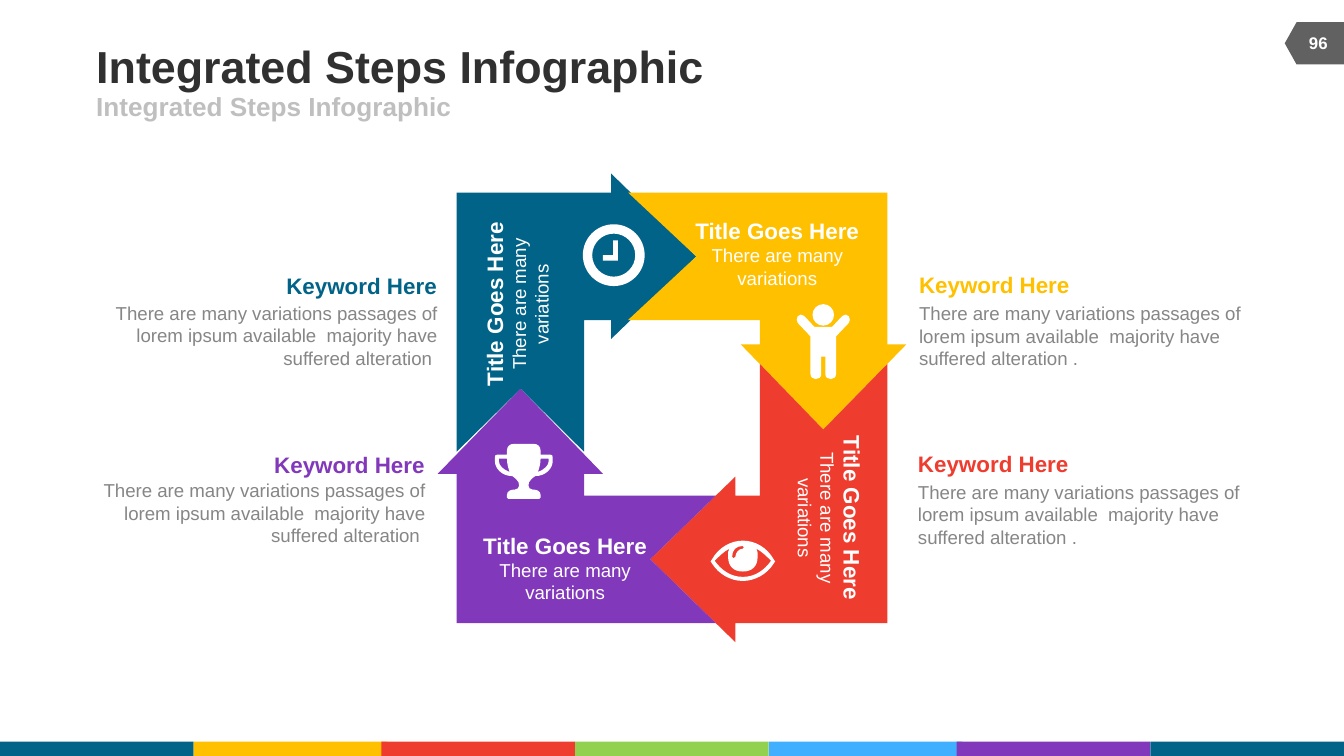
"""Build the Integrated Steps Infographic slide: four interlocking arrows with keywords."""
from lxml import etree
from pptx import Presentation
from pptx.dml.color import RGBColor
from pptx.enum import shapes, text
from pptx.oxml.ns import qn
from pptx.util import Cm, Pt

COLORS = {
    "teal": "006387", "amber": "FFC000", "red": "EE3C2E", "green": "92D050",
    "sky": "40AFFF", "purple": "8238BA", "tag": "616161", "title": "303030",
    "subtitle": "BFBFBF", "body": "868686", "white": "FFFFFF",
}
FONT = "Arial"
HEADING = "Integrated Steps Infographic"
PAGE = "96"
STRIPE = [("teal", 0), ("amber", 3.66), ("red", 7.21), ("green", 10.87),
          ("sky", 14.53), ("purple", 18.08), ("teal", 21.74)]
STEP_TITLE, STEP_NOTE = "Title Goes Here", "There are many variations"
KEYWORD = "Keyword Here"
PASSAGE = "There are many variations passages of lorem ipsum available  majority have suffered alteration "

STEPS = [
    {"color": "teal", "label": (9.77, 5.75), "turn": 270, "advance": 0.05,
     "icon": "clock", "icon_top": (11.6, 4.24)},
    {"color": "amber", "label": (14.69, 4.79), "turn": 0, "advance": 0,
     "icon": "person", "icon_top": (15.56, 5.75)},
    {"color": "red", "label": (15.68, 9.79), "turn": 90, "advance": 0,
     "icon": "eye", "icon_top": (14.04, 10.22)},
    {"color": "purple", "label": (10.68, 10.74), "turn": 0, "advance": -0.05,
     "icon": "trophy", "icon_top": (9.9, 8.39)},
]
KEYWORDS = [
    ("amber", 17.37, 5.12, 5.71, "left", "."),
    ("teal", 1.94, 5.14, 5.7, "right", ""),
    ("purple", 1.71, 8.53, 9.06, "right", ""),
    ("red", 17.35, 8.51, 9.09, "left", "."),
]

RING_CENTER = (12.7, 7.71)

ICON_UNIT = 0.0254
ICONS = {
    "clock": {
        "mirrored": [
            [(0, 0), (12.7, 0, 23, 10.3, 23, 23), (23, 35.7, 12.7, 46, 0, 46)],
            [(0, 7), (8.8, 7, 16, 14.2, 16, 23), (16, 31.8, 8.8, 39, 0, 39)],
        ],
        "single": [[(-0.5, 12), (3, 12), (3, 27), (-8, 27), (-8, 23), (-0.5, 23)]],
    },
    "person": {
        "mirrored": [
            [(0, 0), (4.4, 0, 8, 3.6, 8, 8), (8, 12.4, 4.4, 16, 0, 16)],
            [(0, 17), (6.5, 17), (14, 9), (16, 7.5, 18, 7.5, 19, 9), (20, 10.5, 20, 13, 19, 14),
             (9.5, 24), (9.5, 52), (9.5, 57, 1.5, 57, 1.5, 52), (1.5, 39), (0, 39)],
        ],
        "single": [],
    },
    "eye": {
        "mirrored": [
            [(0, 0), (9, 0, 18, 5, 23, 14), (24, 15.5), (23, 17), (18, 25, 9, 30, 0, 30)],
            [(0, 23), (7, 23, 11, 19, 11, 12), (11, 9, 11, 7, 10, 6),
             (14, 8, 18, 12, 21, 15), (16, 22, 9, 27, 0, 27)],
        ],
        "single": [[(0, 4), (-5, 4, -8, 7, -8, 12), (-8, 13.5, -6, 13.5, -5.5, 12),
                    (-5.5, 9, -3, 6, 0, 6), (1, 5.5, 1, 4.5, 0, 4)]],
    },
    "trophy": {
        "mirrored": [
            [(0, 0), (7.5, 0), (10.5, 0, 12.5, 2, 12.5, 5), (12.5, 8), (19.5, 8),
             (21, 8, 21.5, 8.5, 21.5, 10), (21.5, 13), (21.5, 18, 16.5, 24, 8.5, 24),
             (7, 25, 6, 26, 5.5, 26.5), (4, 28, 3.5, 29, 3.5, 31),
             (3.5, 32.5, 4.5, 34, 6.5, 34), (9.5, 34, 12.5, 35, 12.5, 38),
             (12.5, 40), (11.5, 41), (0, 41)],
            [(12.5, 11), (18.5, 11), (18.5, 13), (18.5, 16, 15.5, 19, 10.5, 21),
             (11.5, 18, 12.5, 15, 12.5, 11)],
        ],
        "single": [],
    },
}


def rgb(name):
    return RGBColor.from_string(COLORS[name])


def paint(shape, color):
    shape.shadow.inherit = False
    shape.fill.solid()
    shape.fill.fore_color.rgb = rgb(color)
    shape.line.fill.background()


def add_outline(slide, contours, origin, unit, color):
    """Draw (points, steps) contours; a step of 3 is a cubic curve, a step of 1 a line."""
    builder = None
    for points, _ in contours:
        start, *rest = [(Cm(origin[0] + x * unit), Cm(origin[1] + y * unit)) for x, y in points]
        if builder is None:
            builder = slide.shapes.build_freeform(*start, scale=1.0)
        else:
            builder.move_to(*start)
        builder.add_line_segments(rest, close=True)
    shape = builder.convert_to_shape()
    lines = iter(list(shape._element.iter(qn("a:lnTo"))))
    for step in (step for _, steps in contours for step in steps):
        group = [next(lines) for _ in range(step)]
        if step == 3:
            curve = etree.Element(qn("a:cubicBezTo"))
            group[0].addprevious(curve)
            for line in group:
                curve.append(line[0])
                line.getparent().remove(line)
    paint(shape, color)


def flatten(contour):
    points = [(part[i], part[i + 1]) for part in contour for i in range(0, len(part), 2)]
    return points, [len(part) // 2 for part in contour[1:]]


def add_icon(slide, icon, origin):
    contours = [flatten(contour) for contour in icon["single"]]
    for points, steps in map(flatten, icon["mirrored"]):
        reflection = [(-x, y) for x, y in reversed(points)]
        if points[0][0] == 0:
            contours.append((points + reflection[1:], steps + steps[::-1]))
        else:
            contours += [(points, steps), (reflection, steps[::-1])]
    add_outline(slide, contours, origin, ICON_UNIT, "white")


def arrow_points(advance, behind):
    return [(0.41 + advance, -2.86), (-1.2 + advance, -1.3), (-1.2 + advance, -1.66),
            (-1.66, -1.66), (-1.66, 0.83), (-2.86, -0.41 - behind), (-4.07, 0.83),
            (-4.07, -4.07), (-1.2 + advance, -4.07), (-1.2 + advance, -4.43)]


def add_text(slide, box, runs, align="left", wrap=True, anchor="top", turn=0):
    frame_box = slide.shapes.add_textbox(*map(Cm, box))
    frame_box.rotation = turn
    frame = frame_box.text_frame
    frame.margin_left = frame.margin_right = frame.margin_top = frame.margin_bottom = 0
    frame.word_wrap = wrap
    frame.vertical_anchor = getattr(text.MSO_ANCHOR, anchor.upper())
    paragraph = frame.paragraphs[0]
    paragraph.alignment = getattr(text.PP_ALIGN, align.upper())
    for i, (words, size, color, bold) in enumerate(runs):
        if i:
            paragraph.add_line_break()
        run = paragraph.add_run()
        run.text = words
        run.font.name, run.font.size, run.font.bold = FONT, Pt(size), bold
        run.font.color.rgb = rgb(color)


def main():
    deck = Presentation()
    deck.slide_width, deck.slide_height = Cm(25.4), Cm(14.29)
    slide = deck.slides.add_slide(deck.slide_layouts[6])

    for color, left in STRIPE:
        paint(slide.shapes.add_shape(shapes.MSO_SHAPE.RECTANGLE, Cm(left), Cm(14.02),
                                     Cm(3.66), Cm(0.27)), color)
    tag = slide.shapes.add_shape(shapes.MSO_SHAPE.FLOWCHART_OFFPAGE_CONNECTOR,
                                 Cm(24.44), Cm(0.26), Cm(0.8), Cm(1.12))
    tag.rotation = 90
    paint(tag, "tag")
    add_text(slide, (1.82, 0.74, 15.67, 1), [(HEADING, 24, "title", True)], wrap=False, anchor="middle")
    add_text(slide, (1.82, 1.73, 11.43, 0.56), [(HEADING, 14, "subtitle", True)], wrap=False, anchor="middle")
    add_text(slide, (24.38, 0.43, 1.07, 0.76), [(PAGE, 9, "white", True)], "center", anchor="middle")

    for i, step in enumerate(STEPS):
        points = arrow_points(step["advance"], STEPS[i - 1]["advance"])
        for _ in range(i):
            points = [(-y, x) for x, y in points]
        add_outline(slide, [(points, [])], RING_CENTER, 1, step["color"])
    label_width, label_height = 3.68, 1.37
    for step in STEPS:
        add_icon(slide, ICONS[step["icon"]], step["icon_top"])
        x, y = step["label"]
        add_text(slide, (x - label_width / 2, y - label_height / 2, label_width, label_height),
                 [(STEP_TITLE, 12, "white", True), (STEP_NOTE, 10, "white", False)],
                 "center", turn=step["turn"])

    passage_width, keyword_width = 6.32, 2.87
    for color, left, keyword_top, passage_top, align, ending in KEYWORDS:
        indent = passage_width - keyword_width if align == "right" else 0
        add_text(slide, (left, passage_top, passage_width, 1.27),
                 [(PASSAGE + ending, 10, "body", False)], align)
        add_text(slide, (left + indent, keyword_top, keyword_width, 0.51),
                 [(KEYWORD, 12, color, True)], align, wrap=False)

    deck.save("out.pptx")


if __name__ == "__main__":
    main()
